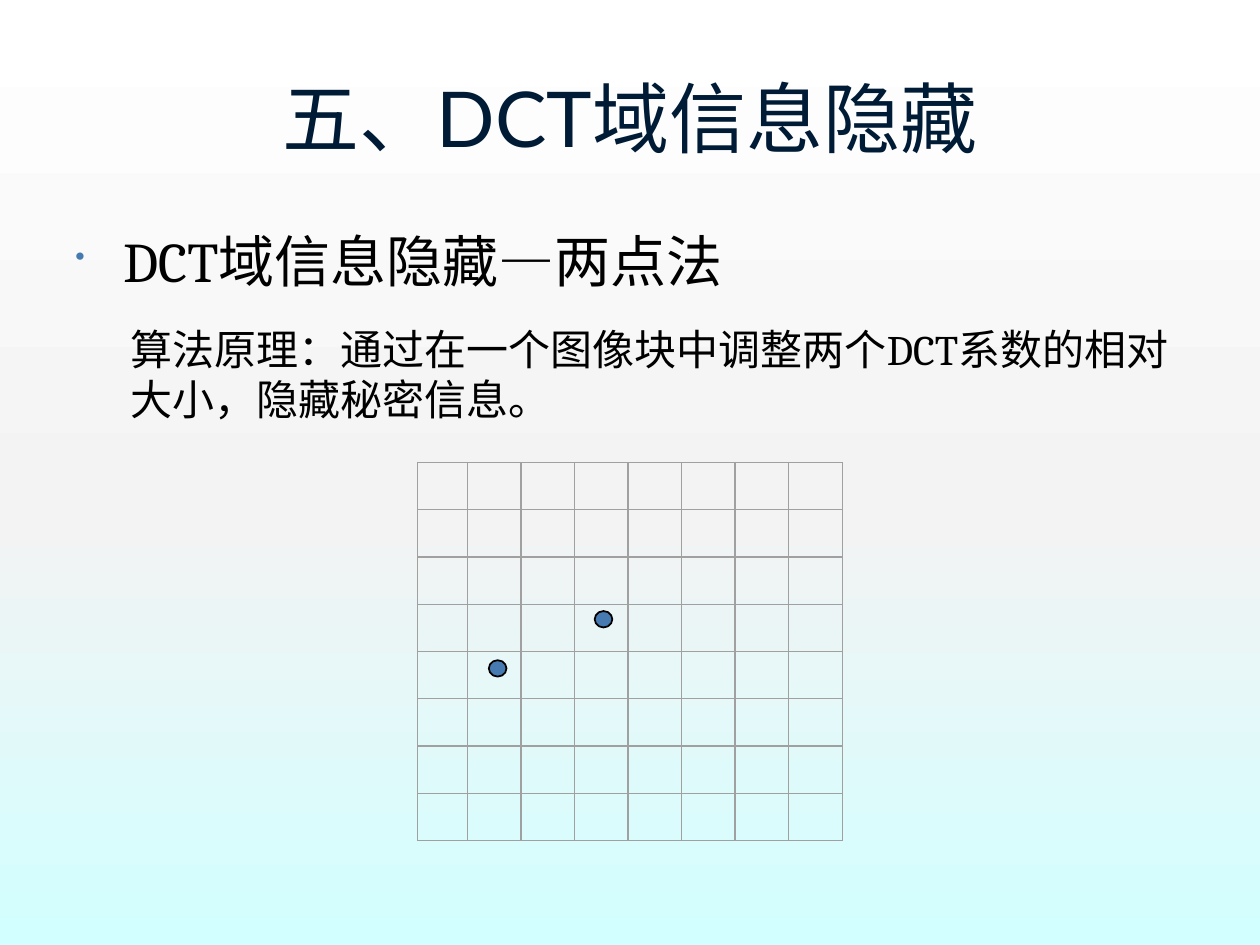
import pptx
import pptx.dml.color
import pptx.enum.shapes
import pptx.enum.text
import pptx.oxml
import pptx.oxml.ns
import pptx.util

COLORS = {
    "top": "FFFFFF", "middle": "F3F3F3", "bottom": "D2FFFF",
    "title": "001B36", "text": "000000", "accent": "477AB1", "grid": "A0A0A0",
}
COLUMNS, ROWS = 100, 75  # layout grid of the slide
BLOCK_SIZE = 8  # pixels along one side of the image block
SHAPES = pptx.enum.shapes.MSO_SHAPE
ALIGN = pptx.enum.text.PP_ALIGN
ANCHOR = pptx.enum.text.MSO_ANCHOR


def rgb(name):
    return pptx.dml.color.RGBColor.from_string(COLORS[name])


def element(xml):
    tag, rest = xml.split(" ", 1)
    return pptx.oxml.parse_xml(f"<{tag} {pptx.oxml.ns.nsdecls('a')} {rest}")


class Deck:
    def __init__(self):
        self.presentation = pptx.Presentation()
        self.presentation.slide_width = pptx.util.Inches(10)
        self.presentation.slide_height = pptx.util.Inches(7.5)
        self.slide = self.presentation.slides.add_slide(self.presentation.slide_layouts[6])
        self.column = self.presentation.slide_width / COLUMNS
        self.row = self.presentation.slide_height / ROWS

    def place(self, left, top, width, height):
        return (round(left * self.column), round(top * self.row),
                round(width * self.column), round(height * self.row))

    def background(self, stops):
        fill = self.slide.background.fill
        fill.gradient()
        fill.gradient_angle = 270
        stop_list = fill._fill._gradFill.gsLst
        for old_stop in list(stop_list):
            stop_list.remove(old_stop)
        for percent, color in stops:
            stop_list.append(element(
                f'a:gs pos="{percent * 1000}"><a:srgbClr val="{COLORS[color]}"/></a:gs>'))

    def text_frame(self, area, anchor):
        frame = self.slide.shapes.add_textbox(*self.place(*area)).text_frame
        frame.word_wrap = True
        frame.vertical_anchor = anchor
        return frame

    def set_text(self, paragraph, text, size, font, color="text", align=ALIGN.LEFT,
                 margin=0, indent=0, bullet=None):
        paragraph.text = text
        paragraph.alignment = align
        properties = paragraph._p.get_or_add_pPr()
        properties.set("marL", str(pptx.util.Inches(margin)))
        properties.set("indent", str(pptx.util.Inches(indent)))
        if bullet:
            properties.append(element(
                f'a:buClr ><a:srgbClr val="{COLORS["accent"]}"/></a:buClr>'))
            properties.append(element('a:buSzPct val="50000"/>'))
            properties.append(element(f'a:buChar char="{bullet}"/>'))
        else:
            properties.append(element("a:buNone />"))
        run_font = paragraph.runs[0].font
        run_font.size = pptx.util.Pt(size)
        run_font.name = font
        run_font.color.rgb = rgb(color)

    def shape(self, group, kind, area, line, weight, fill=None):
        shape = group.shapes.add_shape(kind, *self.place(*area))
        shape.shadow.inherit = False
        if fill:
            shape.fill.solid()
            shape.fill.fore_color.rgb = rgb(fill)
        else:
            shape.fill.background()
        shape.line.color.rgb = rgb(line)
        shape.line.width = pptx.util.Pt(weight)


def main():
    deck = Deck()
    deck.background([(0, "top"), (55, "middle"), (100, "bottom")])

    # Method and its principle
    body = deck.text_frame((5, 17.5, 90, 52), ANCHOR.TOP)
    method = body.paragraphs[0]
    deck.set_text(method, "DCT域信息隐藏—两点法", 32, "Cambria",
                  margin=0.38, indent=-0.38, bullet="•")
    method.space_after = pptx.util.Pt(12)
    principle = body.add_paragraph()
    principle.level = 1
    principle.space_before = pptx.util.Pt(5)
    deck.set_text(principle, "算法原理：通过在一个图像块中调整两个DCT系数的相对大小，隐藏秘密信息。",
                  24, "Cambria", margin=0.44)

    # Title
    title = deck.text_frame((5, 3, 90, 12.5), ANCHOR.MIDDLE)
    deck.set_text(title.paragraphs[0], "五、DCT域信息隐藏", 44, "Lato", "title", ALIGN.CENTER)

    # Image block: the first column is a little narrower than the others
    block = deck.slide.shapes.add_group_shape()
    left, top, first_width, width, height = 33.15, 36.7, 3.95, 4.25, 3.75
    edges = [left] + [left + first_width + i * width for i in range(BLOCK_SIZE)]
    for row in range(BLOCK_SIZE):
        for start, end in zip(edges, edges[1:]):
            deck.shape(block, SHAPES.RECTANGLE,
                       (start, top + row * height, end - start, height), "grid", 0)
    deck.shape(block, SHAPES.RECTANGLE,
               (left, top, edges[-1] - left, BLOCK_SIZE * height), "grid", 0.75)

    # The two adjusted coefficients
    for x, y in [(38.8, 52.4), (47.2, 48.5)]:
        deck.shape(block, SHAPES.OVAL, (x, y, 1.4, 1.3), "text", 1, "accent")

    deck.presentation.save("out.pptx")


if __name__ == "__main__":
    main()
